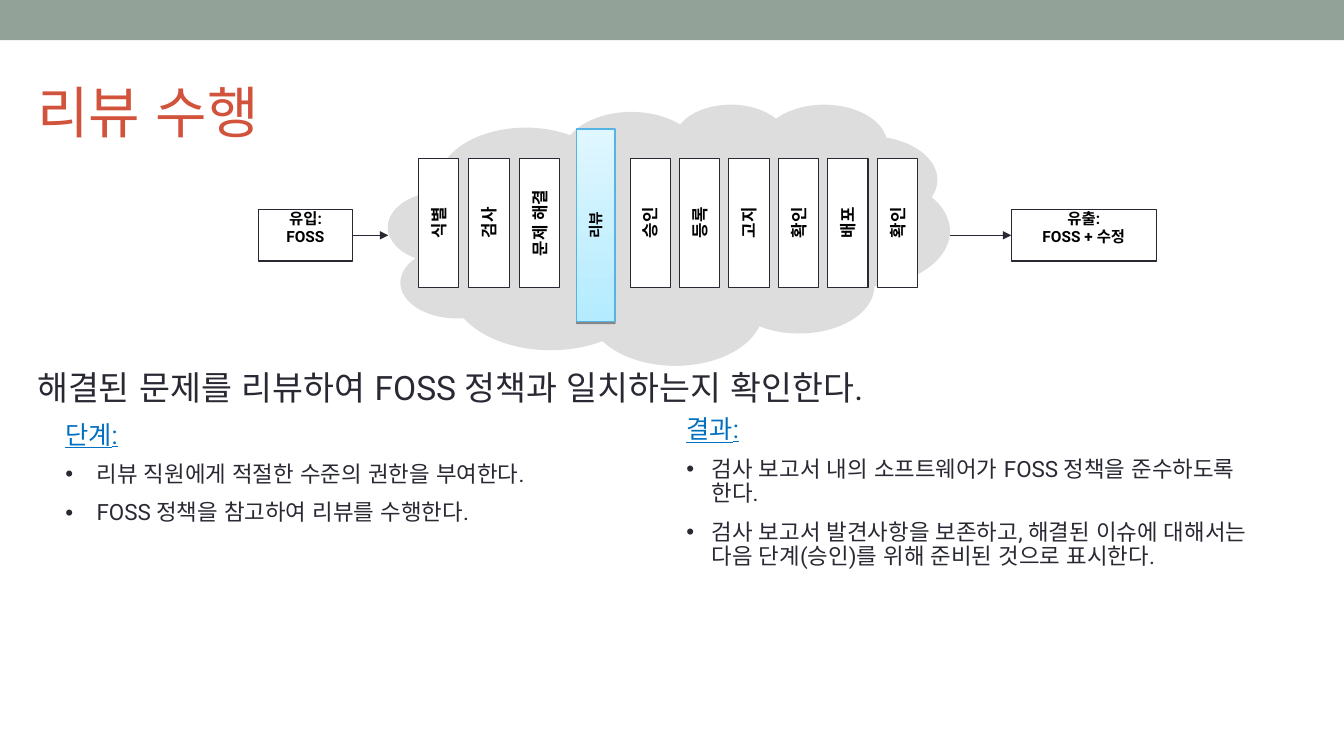
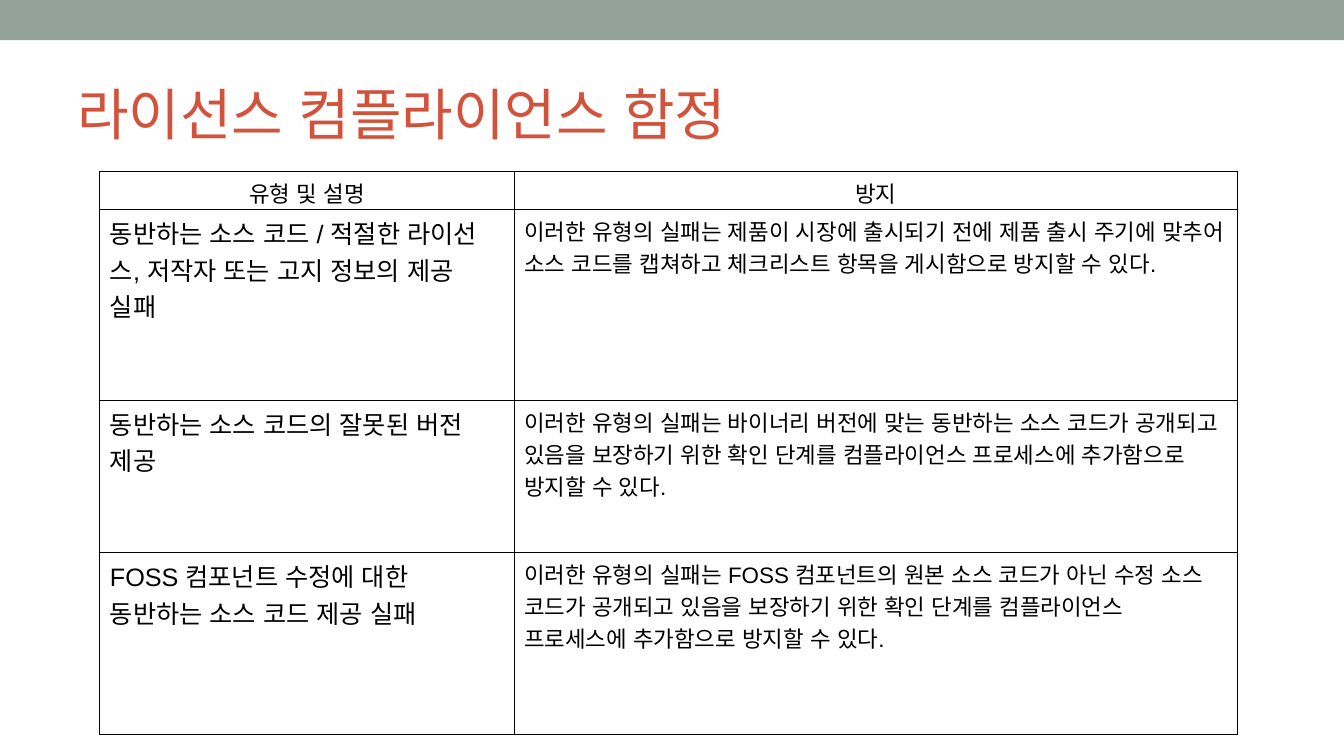
from collections import namedtuple

from lxml.etree import SubElement
from pptx import Presentation
from pptx.dml.color import RGBColor
from pptx.enum.lang import MSO_LANGUAGE_ID as LANG
from pptx.enum.shapes import MSO_CONNECTOR, MSO_SHAPE
from pptx.enum.text import MSO_ANCHOR as ANCHOR, PP_ALIGN as ALIGN
from pptx.oxml.ns import qn
from pptx.util import Emu, Inches, Pt

WIDTH, HEIGHT = 13.33, 7.5
COLORS = {
    "band": "93A299", "title": "D2533C", "ink": "292934", "heading": "0070C0",
    "cloud": "DDDDDD", "white": "FFFFFF", "black": "000000",
    "glow_top": "E0F7FF", "glow_bottom": "B4EBFF", "glow_line": "55B4E5",
}
FONT, TABLE_FONT = "Roboto", "Arial"
LINE_WIDTH = Pt(0.75)

Box = namedtuple("Box", "left top width height")


def color(name):
    return RGBColor.from_string(COLORS[name])


def inches(box):
    return [Inches(value) for value in box]


def within(box, left, top, width, height):
    """A box whose left and top are measured from the corner of another."""
    return Box(box.left + left, box.top + top, width, height)


def add_run(paragraph, text, size, tint, font=FONT, bold=False, underline=False):
    run = paragraph.add_run()
    run.text = text
    run.font.name, run.font.size = font, Pt(size)
    run.font.bold, run.font.underline = bold, underline
    run.font.color.rgb = color(tint)
    run.font.language_id = LANG.KOREAN


def add_text(slide, box, anchor=ANCHOR.TOP):
    frame = slide.shapes.add_textbox(*inches(box)).text_frame
    frame.word_wrap = True
    frame.vertical_anchor = anchor
    return frame


def add_block(slide, box, fill=None, line=None, preset=MSO_SHAPE.RECTANGLE):
    block = slide.shapes.add_shape(preset, *inches(box))
    block.shadow.inherit = False
    if fill:
        block.fill.solid()
        block.fill.fore_color.rgb = color(fill)
    if line:
        block.line.color.rgb = color(line)
        block.line.width = LINE_WIDTH
    else:
        block.line.fill.background()
    return block


def add_arrow(slide, start, end):
    arrow = slide.shapes.add_connector(
        MSO_CONNECTOR.STRAIGHT, *inches(start), *inches(end))
    arrow.line.color.rgb = color("ink")
    arrow.line.width = LINE_WIDTH
    SubElement(arrow.line._get_or_add_ln(), qn("a:tailEnd"), type="triangle")
    SubElement(arrow._element.spPr, qn("a:effectLst"))
    return arrow


def add_base(presentation, title, title_box):
    """A blank slide with the top band and the title."""
    slide = presentation.slides.add_slide(presentation.slide_layouts[6])
    add_block(slide, Box(0, 0, WIDTH, 0.4), "band")
    frame = add_text(slide, title_box, ANCHOR.MIDDLE)
    add_run(frame.paragraphs[0], title, 40, "title")
    return slide


def write_upright(block, text, size):
    """Centred bold text that reads from bottom to top."""
    frame = block.text_frame
    frame.margin_left = frame.margin_right = Inches(0.05)
    frame.vertical_anchor = ANCHOR.MIDDLE
    frame._txBody.bodyPr.set("vert", "vert270")
    frame.paragraphs[0].alignment = ALIGN.CENTER
    add_run(frame.paragraphs[0], text, size, "black", bold=True)


def add_current_step(slide, box, text):
    bar = add_block(slide, box, line="glow_line")
    bar.fill.gradient()
    bar.fill.gradient_angle = 270
    for stop, tint in zip(bar.fill.gradient_stops, ("glow_top", "glow_bottom")):
        stop.color.rgb = color(tint)
    effects = bar._element.spPr.find(qn("a:effectLst"))
    shadow = SubElement(effects, qn("a:outerShdw"), dist=str(Pt(1.6)),
                        dir="5400000", rotWithShape="0")
    black = SubElement(shadow, qn("a:srgbClr"), val=COLORS["black"])
    SubElement(black, qn("a:alpha"), val="38000")
    write_upright(bar, text, 10.5)


def add_end_box(slide, box, lines, first_spacing):
    block = add_block(slide, box, "white", "ink")
    frame = block.text_frame
    frame.vertical_anchor = ANCHOR.TOP
    for index, line in enumerate(lines):
        paragraph = frame.add_paragraph() if index else frame.paragraphs[0]
        paragraph.alignment = ALIGN.CENTER
        if index == 0:
            paragraph.line_spacing = first_spacing
        add_run(paragraph, line, 11, "black", bold=True)
    return block


def add_process(slide, box):
    """The flow from inflow through the steps in the cloud to outflow."""
    cloud = within(box, 1.29, 0, 5.57, box.height)
    add_block(slide, cloud, "cloud", preset=MSO_SHAPE.CLOUD)

    add_current_step(slide, within(cloud, 1.87, 0.25, 0.38, 1.91), "리뷰")
    step_groups = [
        (0.3, 0.5, ["식별", "검사", "문제 해결"]),
        (2.4, 0.49, ["승인", "등록", "고지", "확인", "배포", "확인"]),
    ]
    for start, pitch, steps in step_groups:
        for index, step in enumerate(steps):
            place = within(cloud, start + index * pitch, 0.54, 0.4, 1.28)
            write_upright(add_block(slide, place, "white", "ink"), step, 12)

    end_top, end_height = 1.05, 0.51
    middle = box.top + end_top + end_height / 2
    inflow_box = within(box, 0, end_top, 0.94, end_height)
    outflow_box = within(box, box.width - 1.44, end_top, 1.44, end_height)
    inflow = add_end_box(slide, inflow_box, ["유입:", "FOSS"], 0.65)
    outflow = add_end_box(slide, outflow_box, ["유출:", "FOSS + 수정"], 0.7)
    entry = add_arrow(slide, (inflow_box.left + inflow_box.width, middle),
                      (cloud.left, middle))
    entry.begin_connect(inflow, 3)
    leaving = add_arrow(slide, (cloud.left + cloud.width, middle),
                        (outflow_box.left, middle))
    leaving.end_connect(outflow, 1)


def add_bullet(paragraph, indent):
    properties = paragraph._p.get_or_add_pPr()
    properties.set("marL", str(Inches(indent)))
    properties.set("indent", str(-Inches(indent)))
    tint = SubElement(properties, qn("a:buClr"))
    SubElement(tint, qn("a:srgbClr"), val=COLORS["ink"])
    SubElement(properties, qn("a:buFont"), typeface="Arial")
    SubElement(properties, qn("a:buChar"), char="•")


def add_bullet_list(slide, box, heading, items, indent):
    frame = add_text(slide, box)
    first = frame.paragraphs[0]
    first.line_spacing = 0.9
    add_run(first, heading, 18, "heading", underline=True)
    for item in items:
        paragraph = frame.add_paragraph()
        add_bullet(paragraph, indent)
        paragraph.line_spacing = 0.9
        paragraph.space_before = Pt(10)
        add_run(paragraph, item, 16, "ink")


def set_borders(cell):
    properties = cell._tc.get_or_add_tcPr()
    for index, side in enumerate(("a:lnL", "a:lnR", "a:lnT", "a:lnB")):
        border = properties.makeelement(qn(side), {"w": str(Pt(1))})
        fill = SubElement(border, qn("a:solidFill"))
        SubElement(fill, qn("a:srgbClr"), val=COLORS["black"])
        properties.insert(index, border)


def add_pitfall_table(slide, box, rows, column_widths, row_heights):
    table = slide.shapes.add_table(
        len(rows), len(column_widths), *inches(box)).table
    table.first_row = table.horz_banding = False
    for column, width in zip(table.columns, column_widths):
        column.width = Inches(width)
    for row, height in zip(table.rows, row_heights):
        row.height = Inches(height)
    for row_index, texts in enumerate(rows):
        for column_index, text in enumerate(texts):
            cell = table.cell(row_index, column_index)
            cell.fill.solid()
            cell.fill.fore_color.rgb = color("white")
            set_borders(cell)
            paragraph = cell.text_frame.paragraphs[0]
            is_header = row_index == 0
            paragraph.alignment = ALIGN.CENTER if is_header else ALIGN.LEFT
            size = 18 if column_index == 0 and not is_header else 16
            add_run(paragraph, text, size, "black", TABLE_FONT)


def build_review(presentation):
    slide = add_base(presentation, "리뷰 수행", Box(0.27, 0.56, 12, 1.08))
    add_process(slide, Box(2.56, 1.03, 8.91, 2.59))
    summary = add_text(slide, Box(0.27, 3.59, 13.06, 0.5))
    add_run(summary.paragraphs[0],
            "해결된 문제를 리뷰하여 FOSS 정책과 일치하는지 확인한다.", 24, "ink")
    add_bullet_list(slide, Box(0.55, 4.14, 5.86, 3.03), "단계:", [
        "리뷰 직원에게 적절한 수준의 권한을 부여한다.",
        "FOSS 정책을 참고하여 리뷰를 수행한다.",
    ], 0.31)
    add_bullet_list(slide, Box(6.71, 4.09, 5.94, 3.1), "결과:", [
        "검사 보고서 내의 소프트웨어가 FOSS 정책을 준수하도록 한다.",
        "검사 보고서 발견사항을 보존하고, 해결된 이슈에 대해서는 "
        "다음 단계(승인)를 위해 준비된 것으로 표시한다.",
    ], 0.25)


def build_pitfalls(presentation):
    slide = add_base(presentation, "라이선스 컴플라이언스 함정",
                     Box(0.67, 0.58, 12, 1.08))
    rows = [
        ("유형 및 설명", "방지"),
        ("동반하는 소스 코드 / 적절한 라이선스, 저작자 또는 고지 정보의 제공 실패",
         "이러한 유형의 실패는 제품이 시장에 출시되기 전에 제품 출시 주기에 맞추어 "
         "소스 코드를 캡쳐하고 체크리스트 항목을 게시함으로 방지할 수 있다."),
        ("동반하는 소스 코드의 잘못된 버전 제공",
         "이러한 유형의 실패는 바이너리 버전에 맞는 동반하는 소스 코드가 공개되고 "
         "있음을 보장하기 위한 확인 단계를 컴플라이언스 프로세스에 추가함으로 "
         "방지할 수 있다."),
        ("FOSS 컴포넌트 수정에 대한 동반하는 소스 코드 제공 실패",
         "이러한 유형의 실패는 FOSS 컴포넌트의 원본 소스 코드가 아닌 수정 소스 "
         "코드가 공개되고 있음을 보장하기 위한 확인 단계를 컴플라이언스 프로세스에 "
         "추가함으로 방지할 수 있다."),
    ]
    add_pitfall_table(slide, Box(0.99, 1.7, 11.28, 5.59), rows,
                      (4.11, 7.17), (0.38, 1.89, 1.51, 1.81))


def main():
    presentation = Presentation()
    presentation.slide_width = Emu(Inches(WIDTH))
    presentation.slide_height = Emu(Inches(HEIGHT))
    build_review(presentation)
    build_pitfalls(presentation)
    presentation.save("out.pptx")


if __name__ == "__main__":
    main()
